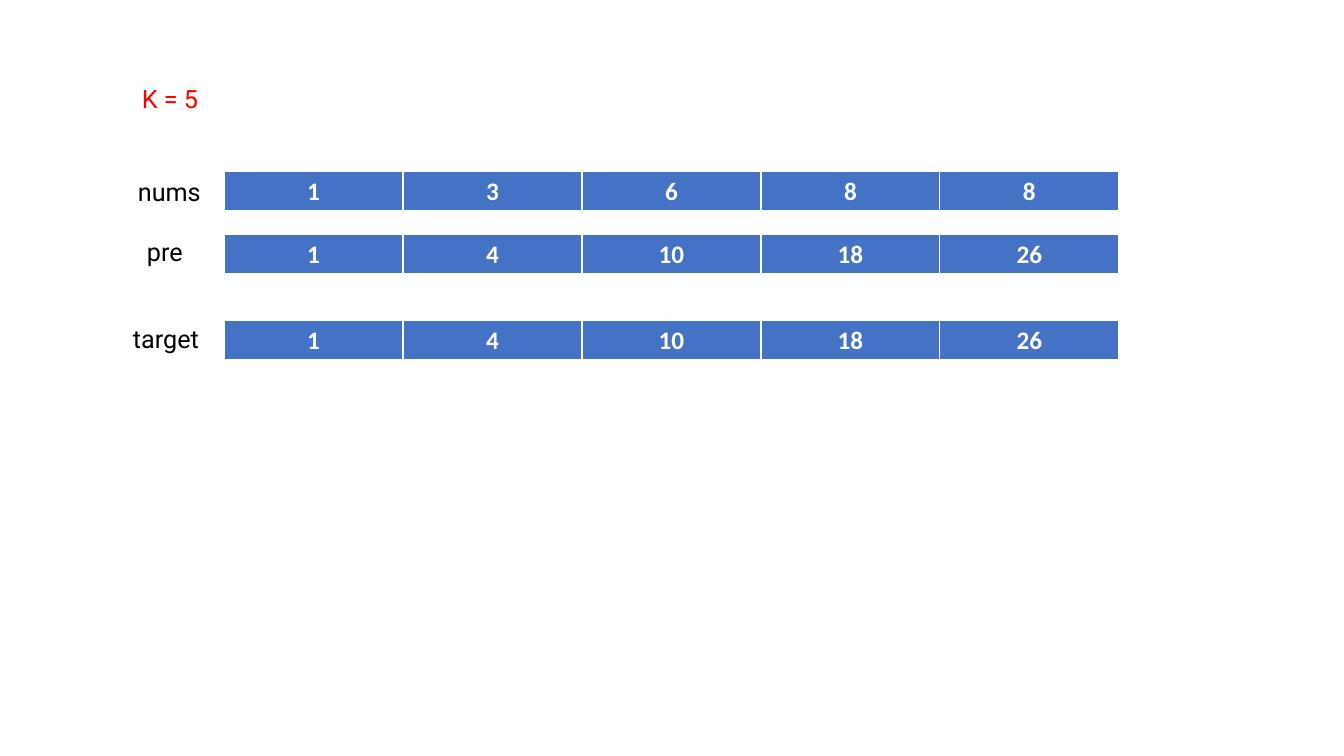
from lxml import etree
from pptx import Presentation
from pptx.dml.color import RGBColor
from pptx.enum.text import MSO_ANCHOR, PP_ALIGN
from pptx.oxml.ns import qn
from pptx.util import Pt

LEFT, MID = PP_ALIGN.LEFT, PP_ALIGN.CENTER
TOP = MSO_ANCHOR.TOP
PX = 914400 / 100.8
COLORS = {"blue": "4472C4", "white": "FFFFFF", "black": "000000", "red": "FF0000"}
EDGES = {"lnL": 1, "lnR": 1, "lnT": 1, "lnB": 3}


def px(*sizes):
    return [round(size * PX) for size in sizes]


def write(frame, text, font="Roboto", color="black", bold=False, align=LEFT):
    para = frame.paragraphs[0]
    para.alignment = align
    run = para.add_run()
    run.text = text
    run.font.name = font
    run.font.size = Pt(18)
    run.font.bold = bold
    run.font.color.rgb = RGBColor.from_string(COLORS[color])


deck = Presentation()
deck.slide_width, deck.slide_height = px(1344, 756)
slide = deck.slides.add_slide(deck.slide_layouts[6])

rows = [
    (171, 41, [1, 3, 6, 8, 8]),
    (234, 40, [1, 4, 10, 18, 26]),
    (320, 40, [1, 4, 10, 18, 26]),
]
for top, height, values in rows:
    table = slide.shapes.add_table(1, len(values), *px(224, top, 895, height)).table
    for col, value in enumerate(values):
        table.columns[col].width = px(179)[0]
        cell = table.cell(0, col)
        cell.vertical_anchor = TOP
        props = cell._tc.get_or_add_tcPr()
        for edge, width in EDGES.items():
            line = etree.SubElement(props, qn("a:" + edge), w=str(Pt(width)))
            fill = etree.SubElement(line, qn("a:solidFill"))
            etree.SubElement(fill, qn("a:srgbClr"), val=COLORS["white"])
        cell.fill.solid()
        cell.fill.fore_color.rgb = RGBColor.from_string(COLORS["blue"])
        write(cell.text_frame, str(value), font="Calibri", color="white", bold=True, align=MID)

labels = [
    ("K = 5", 132, 78, 91, "red"),
    ("nums", 128, 171, 98, "black"),
    ("pre", 137, 231, 65, "black"),
    ("target", 123, 318, 109, "black"),
]
for text, left, top, width, color in labels:
    frame = slide.shapes.add_textbox(*px(left, top, width, 40)).text_frame
    frame.word_wrap = True
    write(frame, text, color=color)

deck.save("out.pptx")
